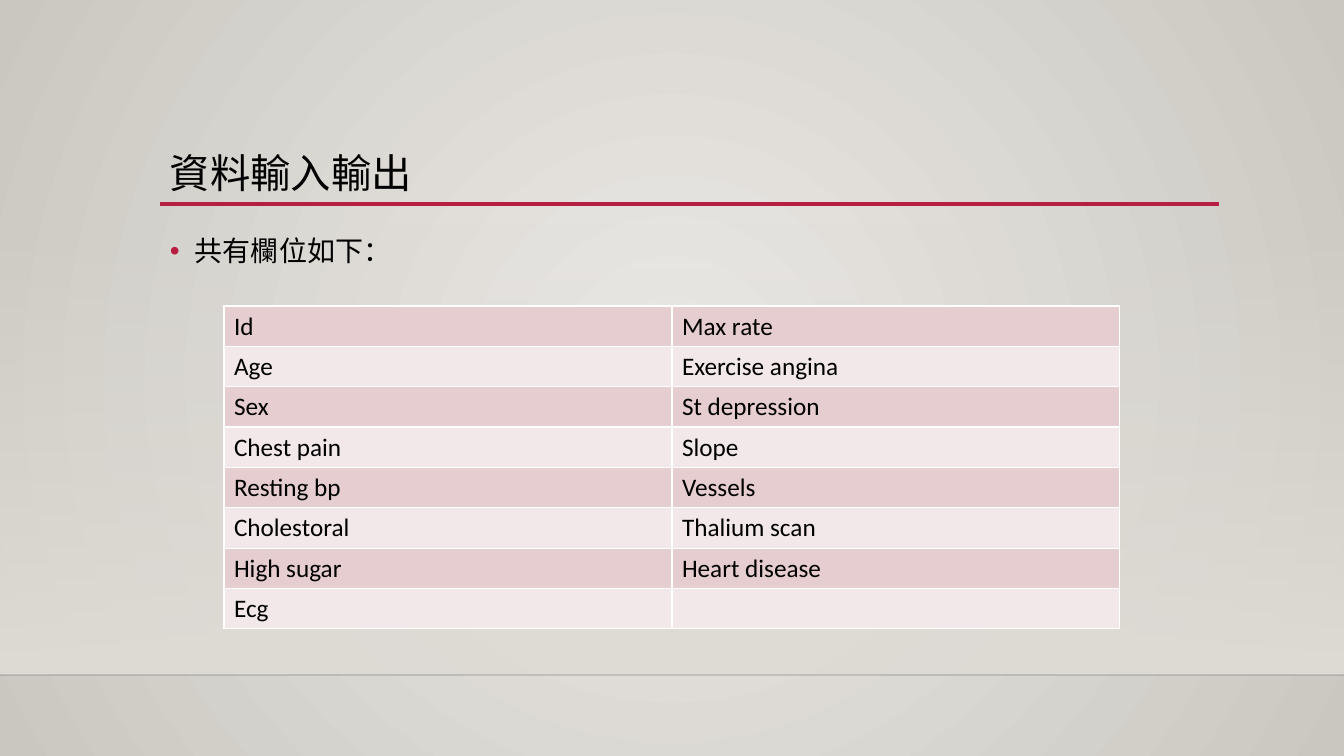
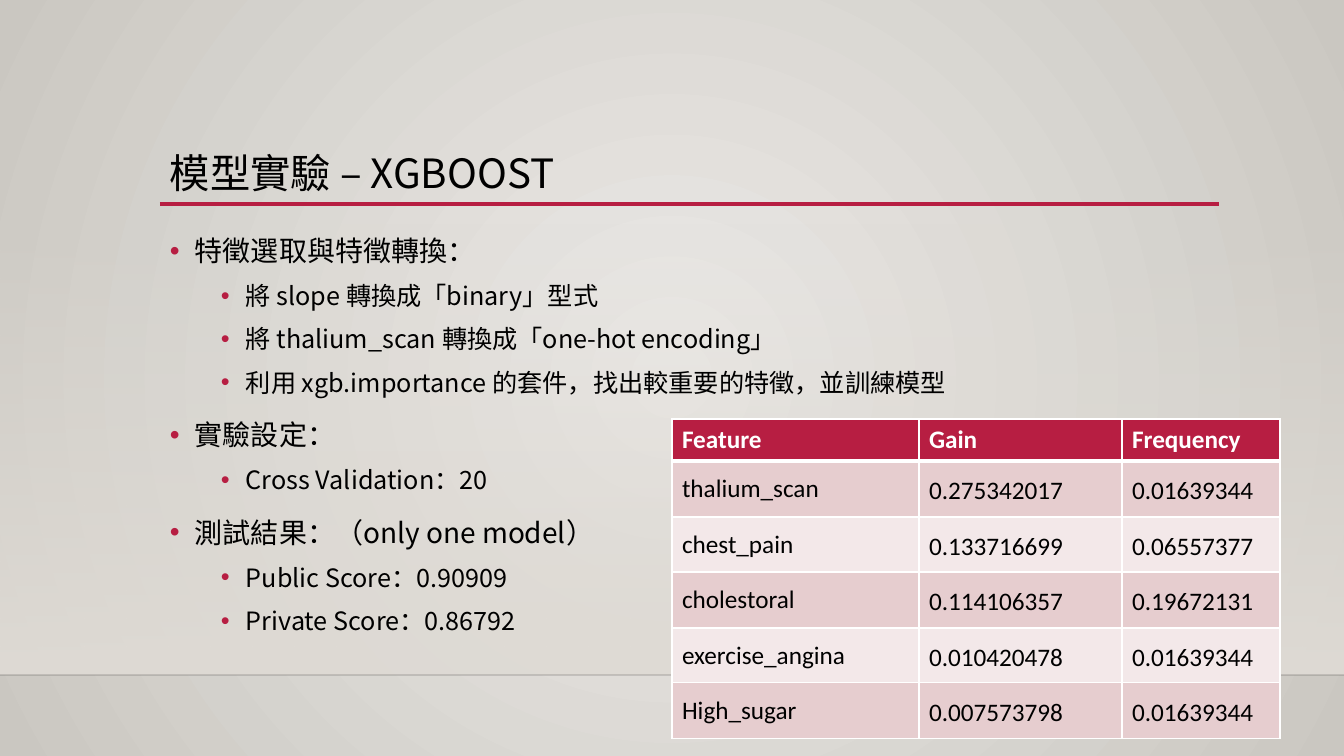
from lxml import etree
from pptx import Presentation
from pptx.dml.color import RGBColor
from pptx.enum.shapes import MSO_CONNECTOR, MSO_SHAPE
from pptx.enum.text import MSO_ANCHOR
from pptx.oxml.ns import qn
from pptx.util import Pt

STRAIGHT = MSO_CONNECTOR.STRAIGHT
RECTANGLE = MSO_SHAPE.RECTANGLE
TOP, MIDDLE, BOTTOM = MSO_ANCHOR.TOP, MSO_ANCHOR.MIDDLE, MSO_ANCHOR.BOTTOM

SLIDE_W, SLIDE_H = 1344, 756
EMU_PER_PX = 12192000 / SLIDE_W

BLACK = RGBColor(0x00, 0x00, 0x00)
WHITE = RGBColor(0xFF, 0xFF, 0xFF)
CRIMSON = RGBColor(0xB7, 0x1E, 0x42)
ROSE = RGBColor(0xE6, 0xCD, 0xCF)
PALE_ROSE = RGBColor(0xF3, 0xE8, 0xE9)
GLOW = RGBColor(0xEC, 0xEA, 0xE7)
EDGE = RGBColor(0xCA, 0xC7, 0xC1)
HAZE = RGBColor(0xDF, 0xDB, 0xD5)

TEXT_FONT = "Noto Sans CJK TC"
TABLE_FONT = "Calibri"

TITLE_BOX = (160, 147, 1059, 55)
TITLE_RULE_Y = 204
HAZE_BOX = (0, 223, SLIDE_W, 452)
LEVELS = [
    {"size": 20, "margin": 25, "before": 10},
    {"size": 18, "margin": 76, "before": 5},
]
BULLET_HANG = 25

FIELDS = [
    ("Id", "Max rate"),
    ("Age", "Exercise angina"),
    ("Sex", "St depression"),
    ("Chest pain", "Slope"),
    ("Resting bp", "Vessels"),
    ("Cholestoral", "Thalium scan"),
    ("High sugar", "Heart disease"),
    ("Ecg", ""),
]
IMPORTANCE = [
    ("Feature", "Gain", "Frequency"),
    ("thalium_scan", "0.275342017", "0.01639344"),
    ("chest_pain", "0.133716699", "0.06557377"),
    ("cholestoral", "0.114106357", "0.19672131"),
    ("exercise_angina", "0.010420478", "0.01639344"),
    ("High_sugar", "0.007573798", "0.01639344"),
]
EXPERIMENT = [
    (0, "特徵選取與特徵轉換："),
    (1, "將 slope 轉換成「binary」型式"),
    (1, "將 thalium_scan 轉換成「one-hot encoding」"),
    (1, "利用 xgb.importance 的套件，找出較重要的特徵，並訓練模型"),
    (0, "實驗設定："),
    (1, "Cross Validation：20"),
    (0, "測試結果：（only one model）"),
    (1, "Public Score：0.90909"),
    (1, "Private Score：0.86792"),
]


def px(n):
    return round(n * EMU_PER_PX)


def add_child(parent, tag, **attrs):
    child = etree.SubElement(parent, qn(tag))
    for name, value in attrs.items():
        child.set(name, str(value))
    return child


def set_gradient(fill, root, stops):
    fill.gradient()
    grad = next(root.iter(qn("a:gradFill")))
    for child in list(grad):
        grad.remove(child)
    gs_list = add_child(grad, "a:gsLst")
    for pos, color, alpha in stops:
        gs = add_child(gs_list, "a:gs", pos=pos * 1000)
        clr = add_child(gs, "a:srgbClr", val=color)
        if alpha < 100:
            add_child(clr, "a:alpha", val=alpha * 1000)
    return grad


def add_rule(s, left, right, y, color, width, alpha=100):
    line = s.shapes.add_connector(STRAIGHT, px(left), px(y), px(right), px(y))
    line.line.color.rgb = color
    line.line.width = Pt(width)
    sp_pr = line._element.spPr
    if alpha < 100:
        add_child(next(sp_pr.iter(qn("a:srgbClr"))), "a:alpha", val=alpha * 1000)
    add_child(sp_pr, "a:effectLst")


def add_run(p, text, size, font, color=BLACK, bold=False):
    r = p.add_run()
    r.text = text
    formats = {"size": Pt(size), "name": font, "bold": bold}
    for name, value in formats.items():
        setattr(r.font, name, value)
    r.font.color.rgb = color
    add_child(r._r.get_or_add_rPr(), "a:ea", typeface=font)


def add_text_frame(s, box, anchor):
    tf = s.shapes.add_textbox(*map(px, box)).text_frame
    tf.word_wrap = True
    tf.vertical_anchor = anchor
    return tf


def add_base(prs, title):
    s = prs.slides.add_slide(prs.slide_layouts[6])
    grad = set_gradient(s.background.fill, s.element, [(0, GLOW, 100), (100, EDGE, 100)])
    circle = add_child(grad, "a:path", path="circle")
    add_child(circle, "a:fillToRect", l=50000, t=50000, r=50000, b=50000)

    haze = s.shapes.add_shape(RECTANGLE, *map(px, HAZE_BOX))
    haze.shadow.inherit = False
    haze.line.fill.background()
    grad = set_gradient(haze.fill, haze._element, [(0, HAZE, 0), (100, HAZE, 100)])
    add_child(grad, "a:lin", ang=5400000, scaled=0)

    left, _, width, _ = TITLE_BOX
    add_rule(s, 0, SLIDE_W, HAZE_BOX[1] + HAZE_BOX[3], BLACK, 1, 20)
    add_rule(s, left, left + width, TITLE_RULE_Y, CRIMSON, 2.5)
    p = add_text_frame(s, TITLE_BOX, BOTTOM).paragraphs[0]
    p.line_spacing = 0.9
    add_run(p, title, 28.8, TEXT_FONT)
    return s


def add_bullets(s, box, items):
    tf = add_text_frame(s, box, TOP)
    for i, (level, text) in enumerate(items):
        p = tf.add_paragraph() if i else tf.paragraphs[0]
        style = LEVELS[level]
        formats = {"level": level, "line_spacing": 1.2, "space_before": Pt(style["before"])}
        for name, value in formats.items():
            setattr(p, name, value)
        p_pr = p._p.get_or_add_pPr()
        p_pr.set("marL", str(px(style["margin"])))
        p_pr.set("indent", str(-px(BULLET_HANG)))
        add_child(add_child(p_pr, "a:buClr"), "a:srgbClr", val=CRIMSON)
        add_child(p_pr, "a:buFont", typeface="Arial")
        add_child(p_pr, "a:buChar", char="•")
        add_run(p, text, style["size"], TEXT_FONT)


def set_borders(cell, top, bottom):
    tc_pr = cell._tc.get_or_add_tcPr()
    widths = {"a:lnL": 1, "a:lnR": 1, "a:lnT": top, "a:lnB": bottom}
    for i, (tag, width) in enumerate(widths.items()):
        ln = add_child(tc_pr, tag, w=Pt(width))
        add_child(add_child(ln, "a:solidFill"), "a:srgbClr", val=WHITE)
        tc_pr.insert(i, ln)


def add_grid(s, left, top, col_widths, row_heights, rows, header=False):
    frame = s.shapes.add_table(len(rows), len(col_widths), px(left), px(top),
                               px(sum(col_widths)), px(sum(row_heights)))
    table = frame.table
    table.first_row = header
    table.horz_banding = False
    for column, width in zip(table.columns, col_widths):
        column.width = px(width)
    for i, (row, height) in enumerate(zip(rows, row_heights)):
        table.rows[i].height = px(height)
        is_head = header and i == 0
        band = (i - header) % 2
        for j, text in enumerate(row):
            cell = table.cell(i, j)
            cell.fill.solid()
            cell.fill.fore_color.rgb = CRIMSON if is_head else (ROSE, PALE_ROSE)[band]
            set_borders(cell, 3 if header and i == 1 else 1, 3 if is_head else 1)
            p = cell.text_frame.paragraphs[0]
            if text:
                add_run(p, text, 18, TABLE_FONT, WHITE if is_head else BLACK, is_head)
            if header and not is_head:
                if j == 0:
                    cell.vertical_anchor = MIDDLE
                else:
                    cell.margin_top = cell.margin_bottom = px(10)
                    p.line_spacing = 1.15


def add_fields_slide(prs):
    s = add_base(prs, "資料輸入輸出")
    add_bullets(s, (160, 222, 1058, 380), [(0, "共有欄位如下：")])
    add_grid(s, 224, 306, [448] * 2, [40] * len(FIELDS), FIELDS)


def add_experiment_slide(prs):
    s = add_base(prs, "模型實驗 – XGBOOST")
    add_bullets(s, (160, 222, 1058, 480), EXPERIMENT)
    heights = [42, 56, 55, 56, 55, 56]
    add_grid(s, 672, 419, [247, 203, 158], heights, IMPORTANCE, header=True)


def main():
    prs = Presentation()
    prs.slide_width, prs.slide_height = px(SLIDE_W), px(SLIDE_H)
    add_fields_slide(prs)
    add_experiment_slide(prs)
    prs.save("out.pptx")


if __name__ == "__main__":
    main()
